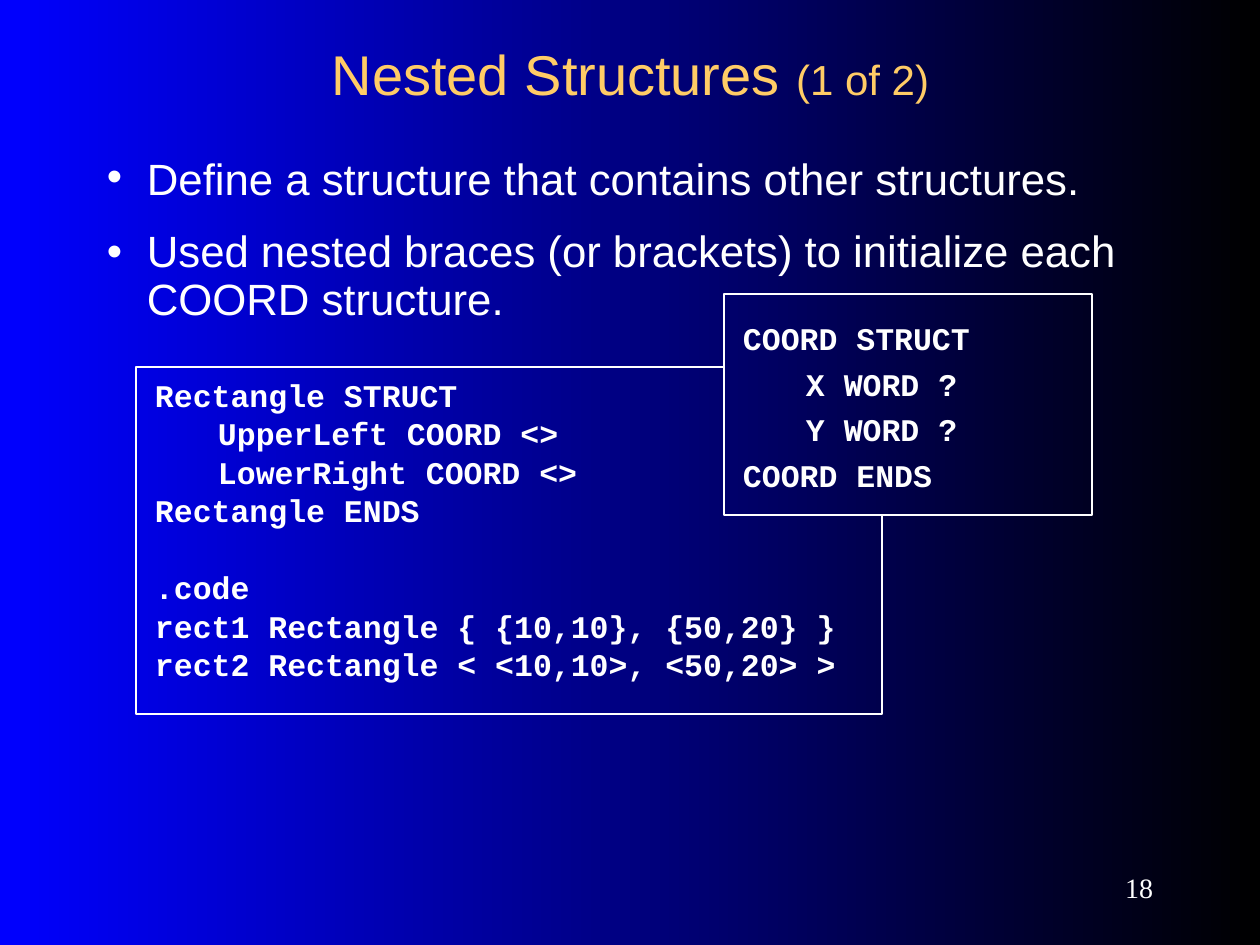
from lxml.etree import SubElement
from pptx import Presentation
from pptx.dml.color import RGBColor
from pptx.enum.shapes import MSO_SHAPE
from pptx.enum.text import MSO_ANCHOR, PP_ALIGN
from pptx.oxml.ns import qn
from pptx.util import Emu, Pt

WHITE, GOLD, BLACK, BLUE = "FFFFFF", "FFCC66", "000000", "0000FF"


def px(n):
    return Emu(round(n * 914400 / 126))


def rgb(color):
    return RGBColor.from_string(color)


class Deck:
    body_font = "Arial"
    code_font = "Courier New"
    number_font = "Times New Roman"

    def __init__(self, width, height):
        self.prs = Presentation()
        self.prs.slide_width, self.prs.slide_height = px(width), px(height)
        self.s = self.prs.slides.add_slide(self.prs.slide_layouts[6])

    def background(self, *colors):
        fill = self.s.background.fill
        fill.gradient()
        fill.gradient_angle = 180
        for stop, color in zip(fill.gradient_stops, colors):
            stop.color.rgb = rgb(color)

    def frame(self, sp, insets, anchor=MSO_ANCHOR.TOP):
        tf = sp.text_frame
        tf.word_wrap = True
        tf.vertical_anchor = anchor
        tf.margin_left = tf.margin_right = px(insets[0])
        tf.margin_top = tf.margin_bottom = px(insets[1])
        return tf

    def run(self, p, text, size, font, color=WHITE, bold=False):
        r = p.add_run()
        r.text = text
        r.font.size, r.font.name, r.font.bold = Pt(size), font, bold
        r.font.color.rgb = rgb(color)

    def paragraph(self, tf, index, spacing, before):
        p = tf.paragraphs[0] if index == 0 else tf.add_paragraph()
        p.line_spacing = spacing
        p.space_before = Pt(before if index else 0)
        return p

    def line(self, box, runs, align, font, color=WHITE):
        sp = self.s.shapes.add_textbox(*map(px, box))
        p = self.frame(sp, (13, 6), MSO_ANCHOR.MIDDLE).paragraphs[0]
        p.alignment = align
        for text, size in runs:
            self.run(p, text, size, font, color)

    def bullets(self, box, items, size, before):
        sp = self.s.shapes.add_textbox(*map(px, box))
        tf = self.frame(sp, (13, 19))
        for i, (text, spacing) in enumerate(items):
            p = self.paragraph(tf, i, spacing, before)
            pPr = p._p.get_or_add_pPr()
            pPr.set("marL", str(px(40)))
            pPr.set("indent", str(px(-40)))
            SubElement(SubElement(pPr, qn("a:buClr")), qn("a:srgbClr"), val=WHITE)
            SubElement(pPr, qn("a:buFont"), typeface=self.body_font)
            SubElement(pPr, qn("a:buChar"), char="•")
            self.run(p, text, size, self.body_font)

    def code(self, box, blocks, spacing, before, gap=0, covers=False):
        sp = self.s.shapes.add_shape(MSO_SHAPE.RECTANGLE, *map(px, box))
        sp.shadow.inherit = False
        sp.line.color.rgb = rgb(WHITE)
        sp.line.width = Pt(0.75)
        if covers:
            sp._element.remove(sp._element.find(qn("p:style")))
            sp._element.set("useBgFill", "1")
        else:
            sp.fill.background()
        tf = self.frame(sp, (19, 25))
        index = 0
        for block in blocks:
            for row, text in enumerate(block):
                extra = gap if row == 0 else 0
                p = self.paragraph(tf, index, spacing, before + extra)
                p.alignment = PP_ALIGN.LEFT
                tabs = SubElement(p._p.get_or_add_pPr(), qn("a:tabLst"))
                SubElement(tabs, qn("a:tab"), pos=str(px(63)), algn="l")
                self.run(p, text, 18, self.code_font, bold=True)
                index += 1


def main():
    deck = Deck(1260, 945)
    deck.background(BLACK, BLUE)
    deck.line((95, 31, 1071, 84), [("Nested Structures ", 32), ("(1 of 2)", 24)],
              PP_ALIGN.CENTER, deck.body_font, GOLD)
    deck.code((136, 367, 746, 347), [
        ["Rectangle STRUCT",
         "\tUpperLeft COORD <>",
         "\tLowerRight COORD <>",
         "Rectangle ENDS"],
        [".code",
         "rect1 Rectangle { {10,10}, {50,20} }",
         "rect2 Rectangle < <10,10>, <50,20> >"],
    ], 0.5, 11.2, gap=22)
    deck.bullets((94, 147, 1061, 197), [
        ("Define a structure that contains other structures.", 0.7),
        ("Used nested braces (or brackets) to initialize each COORD structure.", 0.9),
    ], 25, 15.6)
    deck.code((724, 294, 368, 221), [
        ["COORD STRUCT", "\tX WORD ?", "\tY WORD ?", "COORD ENDS"],
    ], 1.0, 4.5, covers=True)
    deck.line((1030, 861, 136, 53), [("18", 16)], PP_ALIGN.RIGHT, deck.number_font)
    deck.prs.save("out.pptx")


if __name__ == "__main__":
    main()
